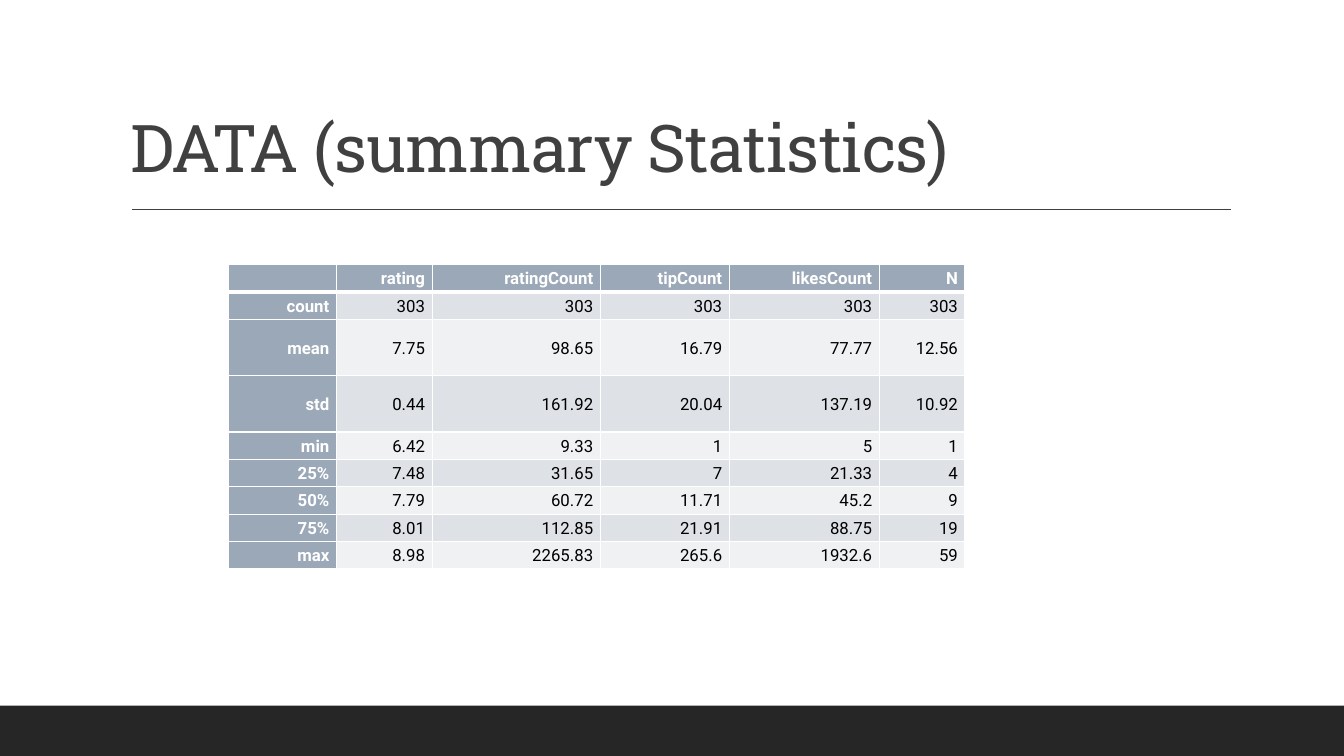
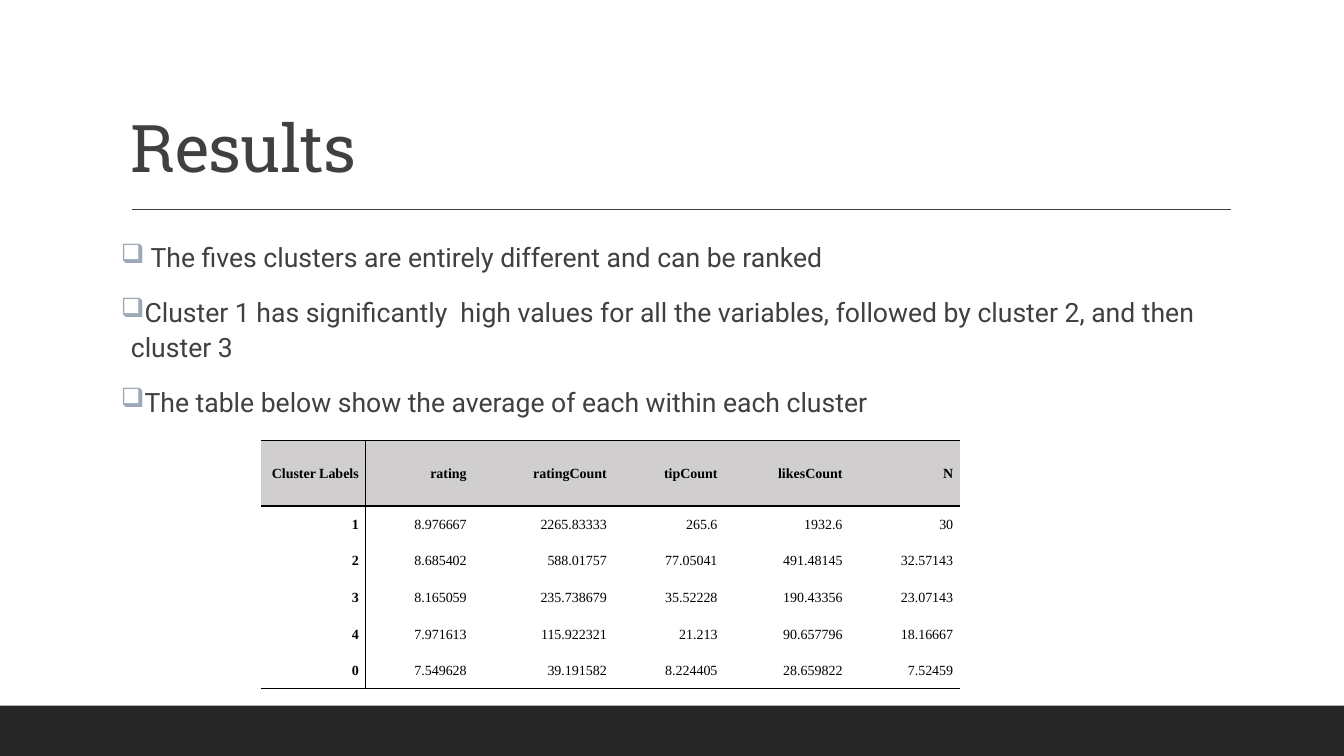
from lxml import etree
from pptx import Presentation
from pptx import util as u
from pptx.dml import color
from pptx.enum import shapes, text
from pptx.oxml import ns

COLORS = {
    "ink": "404040",
    "band": "262626",
    "accent": "9BA8B7",
    "stripe_dark": "DEE1E6",
    "stripe_light": "EFF1F3",
    "header_gray": "D0CECE",
    "white": "FFFFFF",
    "black": "000000",
}
TITLE_FONT, BODY_FONT, SERIF_FONT = "Roboto Slab", "Roboto", "Times New Roman"
WIDTH, HEIGHT = 33.87, 19.05
BAND_HEIGHT = 1.27
TEXT_LEFT, TEXT_WIDTH = 3.05, 27.94
RULE_LEFT, RULE_RIGHT, RULE_TOP = 3.33, 31.01, 5.28

SUMMARY_ROWS = [
    ["", "rating", "ratingCount", "tipCount", "likesCount", "N"],
    ["count", "303", "303", "303", "303", "303"],
    ["mean", "7.75", "98.65", "16.79", "77.77", "12.56"],
    ["std", "0.44", "161.92", "20.04", "137.19", "10.92"],
    ["min", "6.42", "9.33", "1", "5", "1"],
    ["25%", "7.48", "31.65", "7", "21.33", "4"],
    ["50%", "7.79", "60.72", "11.71", "45.2", "9"],
    ["75%", "8.01", "112.85", "21.91", "88.75", "19"],
    ["max", "8.98", "2265.83", "265.6", "1932.6", "59"],
]
CLUSTER_ROWS = [
    ["Cluster Labels", "rating", "ratingCount", "tipCount", "likesCount", "N"],
    ["1", "8.976667", "2265.83333", "265.6", "1932.6", "30"],
    ["2", "8.685402", "588.01757", "77.05041", "491.48145", "32.57143"],
    ["3", "8.165059", "235.738679", "35.52228", "190.43356", "23.07143"],
    ["4", "7.971613", "115.922321", "21.213", "90.657796", "18.16667"],
    ["0", "7.549628", "39.191582", "8.224405", "28.659822", "7.52459"],
]
FINDINGS = [
    " The fives clusters are entirely different and can be ranked",
    "Cluster 1 has significantly  high values for all the variables, followed by cluster 2, and then cluster 3",
    "The table below show the average of each within each cluster",
]


def rgb(name):
    return color.RGBColor.from_string(COLORS[name])


def add_child(parent, tag, **attributes):
    return etree.SubElement(parent, ns.qn(tag), **attributes)


def add_solid_fill(parent, name):
    add_child(add_child(parent, "a:solidFill"), "a:srgbClr", val=COLORS[name])


def format_runs(paragraph, font, size, name, bold=False):
    for run in paragraph.runs:
        run.font.name = font
        run.font.size = u.Pt(size)
        run.font.bold = bold
        run.font.color.rgb = rgb(name)


def add_band(slide):
    band = slide.shapes.add_shape(
        shapes.MSO_SHAPE.RECTANGLE, 0, u.Cm(HEIGHT - BAND_HEIGHT), u.Cm(WIDTH), u.Cm(BAND_HEIGHT))
    band.shadow.inherit = False
    band.fill.solid()
    band.fill.fore_color.rgb = rgb("band")
    band.line.fill.background()


def add_rule(slide):
    rule = slide.shapes.add_connector(
        shapes.MSO_CONNECTOR.STRAIGHT,
        u.Cm(RULE_LEFT), u.Cm(RULE_TOP), u.Cm(RULE_RIGHT), u.Cm(RULE_TOP))
    rule.line.color.rgb = rgb("ink")
    rule.line.width = u.Pt(1)
    add_child(rule._element.spPr, "a:effectLst")


def add_text_frame(slide, top, height):
    box = slide.shapes.add_textbox(u.Cm(TEXT_LEFT), u.Cm(top), u.Cm(TEXT_WIDTH), u.Cm(height))
    box.text_frame.word_wrap = True
    return box.text_frame


def add_title(slide, title):
    frame = add_text_frame(slide, 0.79, 4.04)
    frame.vertical_anchor = text.MSO_ANCHOR.BOTTOM
    frame.text = title
    paragraph = frame.paragraphs[0]
    paragraph.line_spacing = 0.9
    format_runs(paragraph, TITLE_FONT, 47, "ink")
    paragraph.runs[0]._r.get_or_add_rPr().set("spc", "-50")


def add_titled_slide(presentation, title):
    slide = presentation.slides.add_slide(presentation.slide_layouts[6])
    add_band(slide)
    add_rule(slide)
    add_title(slide, title)
    return slide


def add_bullets(slide, lines):
    frame = add_text_frame(slide, 5.87, 10.44)
    frame.margin_left = frame.margin_right = 0
    frame.text = "\n".join(lines)
    for paragraph in frame.paragraphs:
        paragraph.line_spacing = 1.1
        paragraph.space_before = u.Pt(12)
        paragraph.space_after = u.Pt(2)
        format_runs(paragraph, BODY_FONT, 19, "ink")
        properties = paragraph._p.get_or_add_pPr()
        properties.set("marL", str(u.Cm(0.25)))
        properties.set("indent", str(u.Cm(-0.25)))
        add_solid_bullet = add_child(properties, "a:buClr")
        add_child(add_solid_bullet, "a:srgbClr", val=COLORS["accent"])
        add_child(properties, "a:buChar", char="❑")


def set_borders(cell, borders):
    properties = cell._tc.get_or_add_tcPr()
    for side in "LRTB":
        if side in borders:
            name, width = borders[side]
            line = add_child(properties, f"a:ln{side}", w=str(u.Pt(width)))
            add_solid_fill(line, name)
        else:
            add_child(add_child(properties, f"a:ln{side}", w="0"), "a:noFill")


def fill_cell(cell, value, font, size, style):
    fill, ink, bold, borders = style
    cell.margin_left = cell.margin_right = u.Cm(0.18)
    cell.margin_top = cell.margin_bottom = 0
    cell.vertical_anchor = text.MSO_ANCHOR.MIDDLE
    set_borders(cell, borders)
    cell.fill.solid()
    cell.fill.fore_color.rgb = rgb(fill)
    paragraph = cell.text_frame.paragraphs[0]
    paragraph.alignment = text.PP_ALIGN.RIGHT
    paragraph.line_spacing = 1.07
    if value:
        paragraph.text = value
        format_runs(paragraph, font, size, ink, bold)
    else:
        add_child(paragraph._p, "a:endParaRPr", sz=str(size * 100))


def add_data_table(slide, position, rows, widths, heights, font, size, style_for):
    left, top = position
    table = slide.shapes.add_table(
        len(rows), len(widths), u.Cm(left), u.Cm(top),
        u.Cm(sum(widths)), u.Cm(sum(heights))).table
    table.first_row = table.horz_banding = False
    for column, width in zip(table.columns, widths):
        column.width = u.Cm(width)
    for row, height in zip(table.rows, heights):
        row.height = u.Cm(height)
    for row_index, values in enumerate(rows):
        for column_index, value in enumerate(values):
            style = style_for(row_index, column_index)
            fill_cell(table.cell(row_index, column_index), value, font, size, style)


def summary_style(row, column):
    borders = {side: ("white", 1) for side in "LRTB"}
    if row == 0:
        borders["B"] = ("white", 3)
    elif row == 1:
        borders["T"] = ("white", 3)
    if row == 0 or column == 0:
        return "accent", "white", True, borders
    return ("stripe_dark" if row % 2 else "stripe_light"), "black", False, borders


def cluster_style(row, column):
    last_row = len(CLUSTER_ROWS) - 1
    ruled = {"L": column == 1, "R": column == 0, "T": row <= 1, "B": row in (0, last_row)}
    borders = {side: ("black", 1) for side, shown in ruled.items() if shown}
    fill = "white" if row else "header_gray"
    return fill, "black", row == 0 or column == 0, borders


def main():
    presentation = Presentation()
    presentation.slide_width = u.Cm(WIDTH)
    presentation.slide_height = u.Cm(HEIGHT)

    slide = add_titled_slide(presentation, "DATA (summary Statistics)")
    add_data_table(
        slide, (5.76, 6.67), SUMMARY_ROWS,
        [2.72, 2.41, 4.24, 3.25, 3.78, 2.16],
        [0.69] * 2 + [1.42] * 2 + [0.69] * 5,
        BODY_FONT, 12, summary_style)

    slide = add_titled_slide(presentation, "Results")
    add_bullets(slide, FINDINGS)
    add_data_table(
        slide, (6.58, 11.1), CLUSTER_ROWS,
        [2.64, 2.72, 3.53, 2.79, 3.15, 2.79],
        [1.65] + [0.92] * 5,
        SERIF_FONT, 10, cluster_style)

    presentation.save("out.pptx")


if __name__ == "__main__":
    main()
